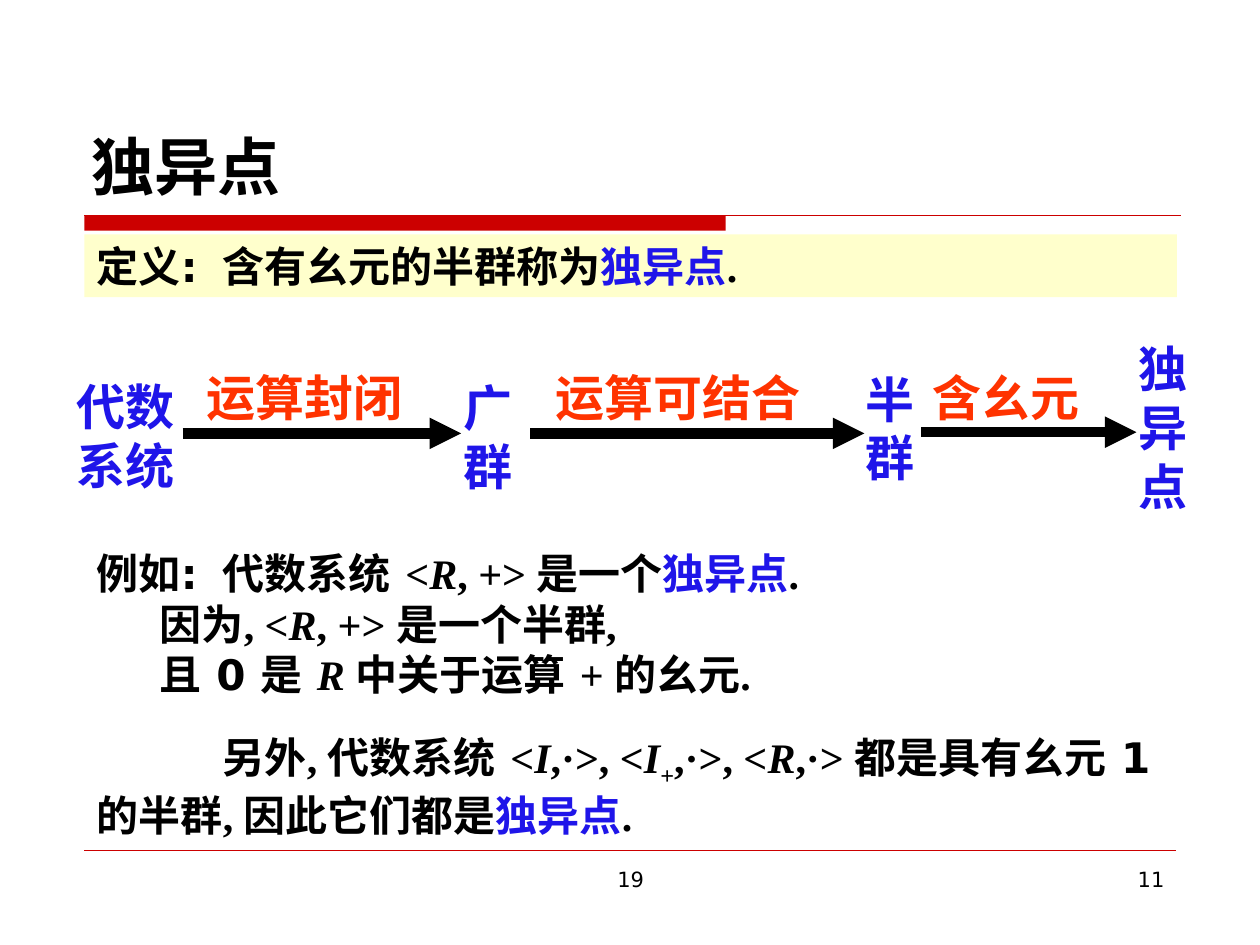
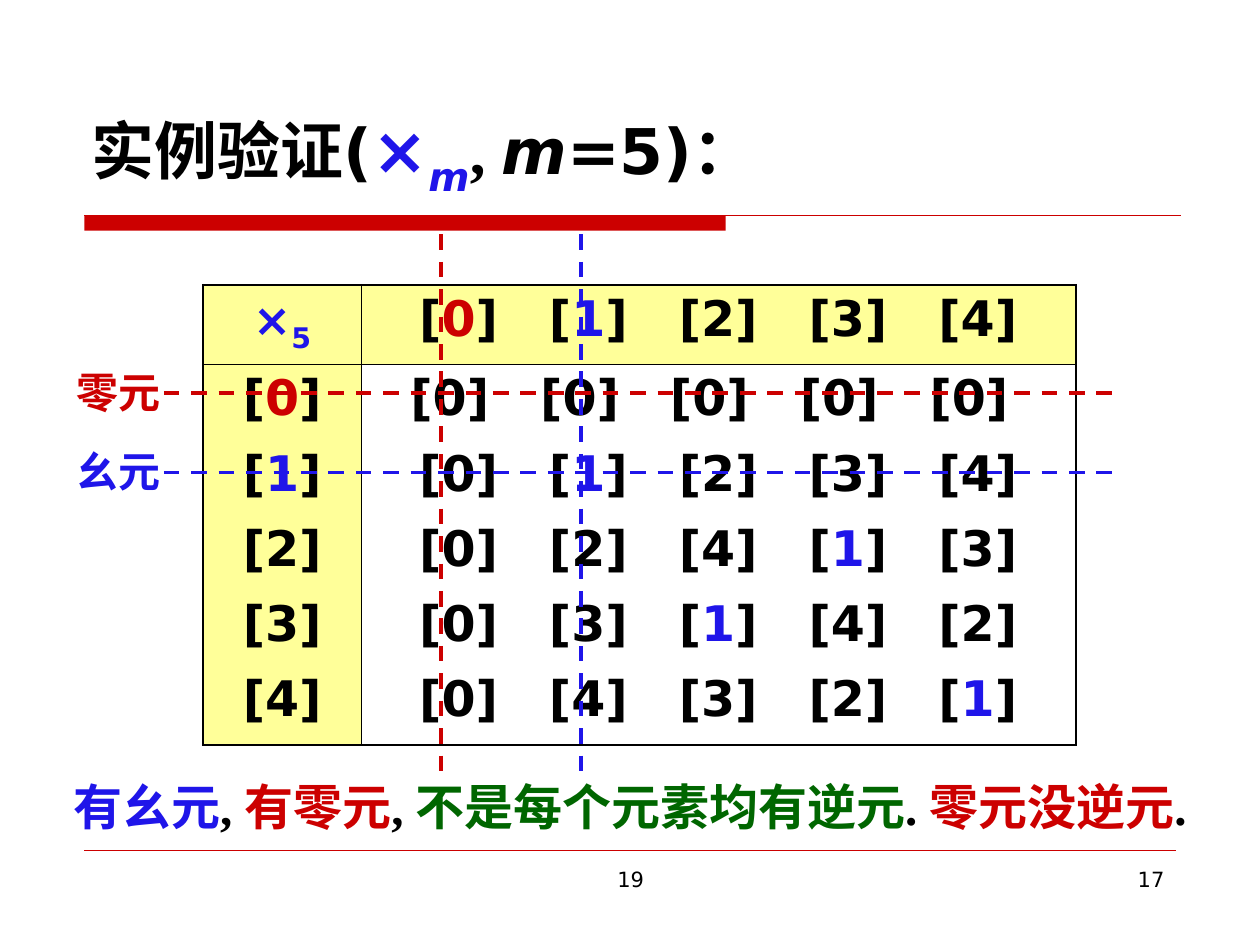
from dataclasses import dataclass
from typing import Any, Optional

import pptx
import pptx.dml.color
import pptx.enum.dml
import pptx.enum.shapes
import pptx.enum.text
import pptx.oxml
import pptx.oxml.ns
import pptx.util

Inches = pptx.util.Inches
ALIGN = pptx.enum.text.PP_ALIGN
ANCHOR = pptx.enum.text.MSO_ANCHOR


@dataclass(frozen=True)
class Theme:
    ink: str = "000000"
    red: str = "CC0000"
    blue: str = "1F15E9"
    orange: str = "FF3300"
    green: str = "006600"
    cream: str = "FFFFCC"
    yellow: str = "FFFF99"
    sans: str = "DejaVu Sans"
    serif: str = "Times New Roman"
    title: int = 36
    large: int = 28
    body: int = 24
    footer: int = 12


T = Theme()


@dataclass(frozen=True)
class Run:
    text: str
    color: str = T.ink
    font: str = T.serif
    italic: bool = False
    sub: bool = False
    size: Optional[int] = None


@dataclass(frozen=True)
class Box:
    x: float
    y: float
    w: float
    h: float


@dataclass(frozen=True)
class Label:
    text: str
    box: Box
    color: str = T.blue
    size: int = T.large
    align: Any = ALIGN.CENTER
    wrap: bool = True


@dataclass(frozen=True)
class Line:
    x1: float
    y1: float
    x2: float
    y2: float
    color: str = T.ink
    width: float = 6
    dashed: bool = False
    arrow: bool = False


Paragraphs = list[list[Run]]


def rgb(color: str) -> pptx.dml.color.RGBColor:
    return pptx.dml.color.RGBColor.from_string(color)


def xml(tag: str, **attrs: str) -> Any:
    el = pptx.oxml.parse_xml(f"<{tag} {pptx.oxml.ns.nsdecls('a')}/>")
    for key, value in attrs.items():
        el.set(key, value)
    return el


# Text
def add_run(p: Any, run: Run, size: float, bold: bool) -> None:
    r = p.add_run()
    r.text = run.text
    f = r.font
    f.size = pptx.util.Pt(run.size or size)
    f.name, f.bold, f.italic = run.font, bold, run.italic
    f.color.rgb = rgb(run.color)
    rPr = r._r.get_or_add_rPr()
    rPr.find(pptx.oxml.ns.qn("a:latin")).addnext(xml("a:ea", typeface=T.sans))
    if run.sub:
        rPr.set("baseline", "-25000")


def write(tf: Any, paragraphs: Paragraphs, size: float, align: Any = ALIGN.LEFT,
          bold: bool = True, gap: float = 0) -> None:
    for i, runs in enumerate(paragraphs):
        p = tf.add_paragraph() if i else tf.paragraphs[0]
        p.alignment = align
        p.space_before = pptx.util.Pt(gap if i else 0)
        for run in runs:
            add_run(p, run, size, bold)


def place(box: Box) -> tuple[Any, Any, Any, Any]:
    return Inches(box.x), Inches(box.y), Inches(box.w), Inches(box.h)


def add_text(s: Any, box: Box, paragraphs: Paragraphs, size: float,
             align: Any = ALIGN.LEFT, bold: bool = True, wrap: bool = True) -> Any:
    tf = s.shapes.add_textbox(*place(box)).text_frame
    tf.word_wrap = wrap
    write(tf, paragraphs, size, align, bold)
    return tf


def add_label(s: Any, label: Label) -> None:
    add_text(s, label.box, [[Run(label.text, label.color)]], label.size,
             label.align, wrap=label.wrap)


# Shapes
def add_rect(s: Any, box: Box, color: str) -> Any:
    sp = s.shapes.add_shape(pptx.enum.shapes.MSO_SHAPE.RECTANGLE, *place(box))
    sp.shadow.inherit = False
    sp.fill.solid()
    sp.fill.fore_color.rgb = rgb(color)
    sp.line.fill.background()
    return sp


def add_line(s: Any, line: Line) -> None:
    c = s.shapes.add_connector(
        pptx.enum.shapes.MSO_CONNECTOR.STRAIGHT, Inches(line.x1), Inches(line.y1),
        Inches(line.x2), Inches(line.y2))
    c.line.color.rgb = rgb(line.color)
    c.line.width = pptx.util.Pt(line.width)
    if line.dashed:
        c.line.dash_style = pptx.enum.dml.MSO_LINE.DASH
    if line.arrow:
        c.line._get_or_add_ln().append(xml("a:tailEnd", type="triangle"))
    c._element.spPr.append(xml("a:effectLst"))


# Title, bands and footer shared by the slides
def new_slide(prs: Any, title: list[Run], title_box: Box, number: str) -> Any:
    s = prs.slides.add_slide(prs.slide_layouts[5])
    sp = s.shapes.title
    sp.left, sp.top, sp.width, sp.height = place(title_box)
    tf = sp.text_frame
    tf.auto_size = pptx.enum.text.MSO_AUTO_SIZE.NONE
    tf.vertical_anchor = ANCHOR.BOTTOM
    write(tf, [title], T.title)
    add_rect(s, Box(0.67, 1.71, 5.09, 0.12), T.red)
    add_line(s, Line(0.67, 1.71, 9.37, 1.71, T.red, 0.75))
    add_line(s, Line(0.67, 6.75, 9.33, 6.75, T.red, 0.25))
    for text, box, align in (("19", Box(3.42, 6.83, 3.17, 0.52), ALIGN.CENTER),
                             (number, Box(7.17, 6.83, 2.17, 0.52), ALIGN.RIGHT)):
        add_text(s, box, [[Run(text, font=T.sans)]], T.footer, align, bold=False)
    return s


def monoid_slide(prs: Any) -> None:
    s = new_slide(prs, [Run("独异点", font=T.sans)], Box(0.63, 0.33, 8.75, 1.33), "11")
    monoid = Run("独异点", T.blue)
    stop = Run(".")

    # Definition
    tf = add_rect(s, Box(0.67, 1.86, 8.67, 0.5), T.cream).text_frame
    tf.word_wrap = True
    tf.vertical_anchor = ANCHOR.TOP
    write(tf, [[Run("定义"), Run(": \t含有幺元的半群称为", font=T.sans),
                Run("独异点", T.blue, T.sans), stop]], T.body)

    # Chain of structures
    for line in (Line(1.45, 3.44, 3.66, 3.44, arrow=True),
                 Line(4.21, 3.44, 6.86, 3.44, arrow=True),
                 Line(7.31, 3.43, 9.02, 3.43, arrow=True)):
        add_line(s, line)
    for label in (
            Label("代数系统", Box(0.43, 2.94, 1.13, 1.04)),
            Label("广群", Box(3.58, 2.95, 0.59, 1.04)),
            Label("半群", Box(6.73, 2.88, 0.66, 1.04)),
            Label("独异点", Box(8.9, 2.64, 0.66, 1.5)),
            Label("运算封闭", Box(1.54, 2.87, 1.75, 0.57), T.orange, align=ALIGN.LEFT, wrap=False),
            Label("运算可结合", Box(4.31, 2.87, 2.14, 0.57), T.orange, align=ALIGN.LEFT, wrap=False),
            Label("含幺元", Box(7.28, 2.87, 1.41, 0.57), T.orange)):
        add_label(s, label)

    # Examples
    reals = Run("R", italic=True)
    add_text(s, Box(0.67, 4.3, 8.67, 1.3), [
        [Run("例如"), Run(": \t", font=T.sans), Run("代数系统 <"), reals,
         Run(", +> 是一个"), monoid, stop],
        [Run("\t因为, <"), reals, Run(", +> 是一个半群,")],
        [Run("\t且 "), Run("0 ", font=T.sans), Run("是 "), Run("R ", italic=True),
         Run("中关于运算 + 的幺元.")]], T.body)
    integers = Run("I", italic=True)
    tf = add_text(s, Box(0.67, 5.76, 8.67, 0.96), [
        [Run("另外, 代数系统 <"), integers, Run(",·>, <"), integers, Run("+", sub=True),
         Run(",·>, <"), reals, Run(",·> 都是具有幺元 "), Run("1 ", font=T.sans),
         Run("的半群, 因此它们都是"), monoid, stop]], T.body)
    tf.paragraphs[0]._p.get_or_add_pPr().set("indent", str(Inches(1)))


# Multiplication table
def element(n: int, color: str = T.ink) -> list[Run]:
    return [Run("[", font=T.sans), Run(str(n), color, T.sans), Run("]", font=T.sans)]


def element_row(values: list[int], colors: dict[int, str]) -> list[Run]:
    runs: list[Run] = []
    for n in values:
        runs += [Run("\t", font=T.sans), *element(n, colors.get(n, T.ink))]
    return runs


def set_tabs(p: Any, first: float, pitch: float, count: int) -> None:
    tabs = xml("a:tabLst")
    for i in range(count):
        tabs.append(xml("a:tab", pos=str(Inches(first + i * pitch)), algn="ctr"))
    p._p.get_or_add_pPr().append(tabs)


def set_borders(cell: Any, widths: dict[str, float]) -> None:
    tcPr = cell._tc.get_or_add_tcPr()
    for i, (side, width) in enumerate(widths.items()):
        ln = xml(f"a:{side}", w=str(pptx.util.Pt(width)))
        fill = xml("a:solidFill")
        fill.append(xml("a:srgbClr", val=T.ink))
        ln.append(fill)
        tcPr.insert(i, ln)


def add_product_table(s: Any, box: Box, m: int) -> None:
    table = s.shapes.add_table(2, 2, *place(box)).table
    table.first_row = table.horz_banding = False
    for col, width in zip(table.columns, (1.26, 5.67)):
        col.width = Inches(width)
    for row, height in zip(table.rows, (0.63, 3.02)):
        row.height = Inches(height)

    special = {0: T.red, 1: T.blue}
    products = [[i * j % m for j in range(m)] for i in range(m)]
    contents = {
        (0, 0): [[Run("×", T.blue, T.sans, size=26), Run(str(m), T.blue, T.sans, sub=True)]],
        (0, 1): [element_row(list(range(m)), special)],
        (1, 0): [element(i, special.get(i, T.ink)) for i in range(m)],
        (1, 1): [element_row(row, {1: T.blue}) for row in products],
    }
    outer, inner = 1.08, 0.45
    for (i, j), paragraphs in contents.items():
        cell = table.cell(i, j)
        write(cell.text_frame, paragraphs, T.large, ALIGN.LEFT if j else ALIGN.CENTER, gap=10.5)
        if j:
            for k, p in enumerate(cell.text_frame.paragraphs):
                # The zero row sits slightly to the left
                set_tabs(p, 0.6 if i and not k else 0.67, 1.03, m)
        if i and j:
            cell.fill.background()
        else:
            cell.fill.solid()
            cell.fill.fore_color.rgb = rgb(T.yellow)
        set_borders(cell, {"lnL": inner if j else outer, "lnR": outer if j else inner,
                           "lnT": inner if i else outer, "lnB": outer if i else inner})


def example_slide(prs: Any) -> None:
    s = new_slide(prs, [
        Run("实例验证(", font=T.sans), Run("×", T.blue, T.sans, size=38),
        Run("m", T.blue, T.sans, italic=True, sub=True, size=39), Run(", "),
        Run("m", font=T.sans, italic=True), Run("=5)：", font=T.sans)],
        Box(0.63, 0.72, 8.75, 0.91), "17")
    add_product_table(s, Box(1.61, 2.26, 6.93, 3.65), 5)

    # Guides through the zero and the identity
    for name, color, x, y, top in (("零元", T.red, 3.5, 3.12, 2.86),
                                   ("幺元", T.blue, 4.61, 3.75, 3.49)):
        add_line(s, Line(x, 1.86, x, 6.19, color, 2.25, dashed=True))
        add_line(s, Line(1.3, y, 8.86, y, color, 2.25, dashed=True))
        add_label(s, Label(name, Box(0.51, top, 0.95, 0.5), color, T.body, ALIGN.LEFT))

    # Conclusion
    add_text(s, Box(0, 6.11, 10, 0.57), [[
        Run("有幺元", T.blue), Run(", "), Run("有零元", T.red), Run(", "),
        Run("不是每个元素均有逆元", T.green), Run(". "), Run("零元没逆元", T.red),
        Run(".")]], T.large, ALIGN.CENTER)


def main() -> None:
    prs = pptx.Presentation()
    prs.slide_width, prs.slide_height = Inches(10), Inches(7.5)
    monoid_slide(prs)
    example_slide(prs)
    prs.save("out.pptx")


if __name__ == "__main__":
    main()
